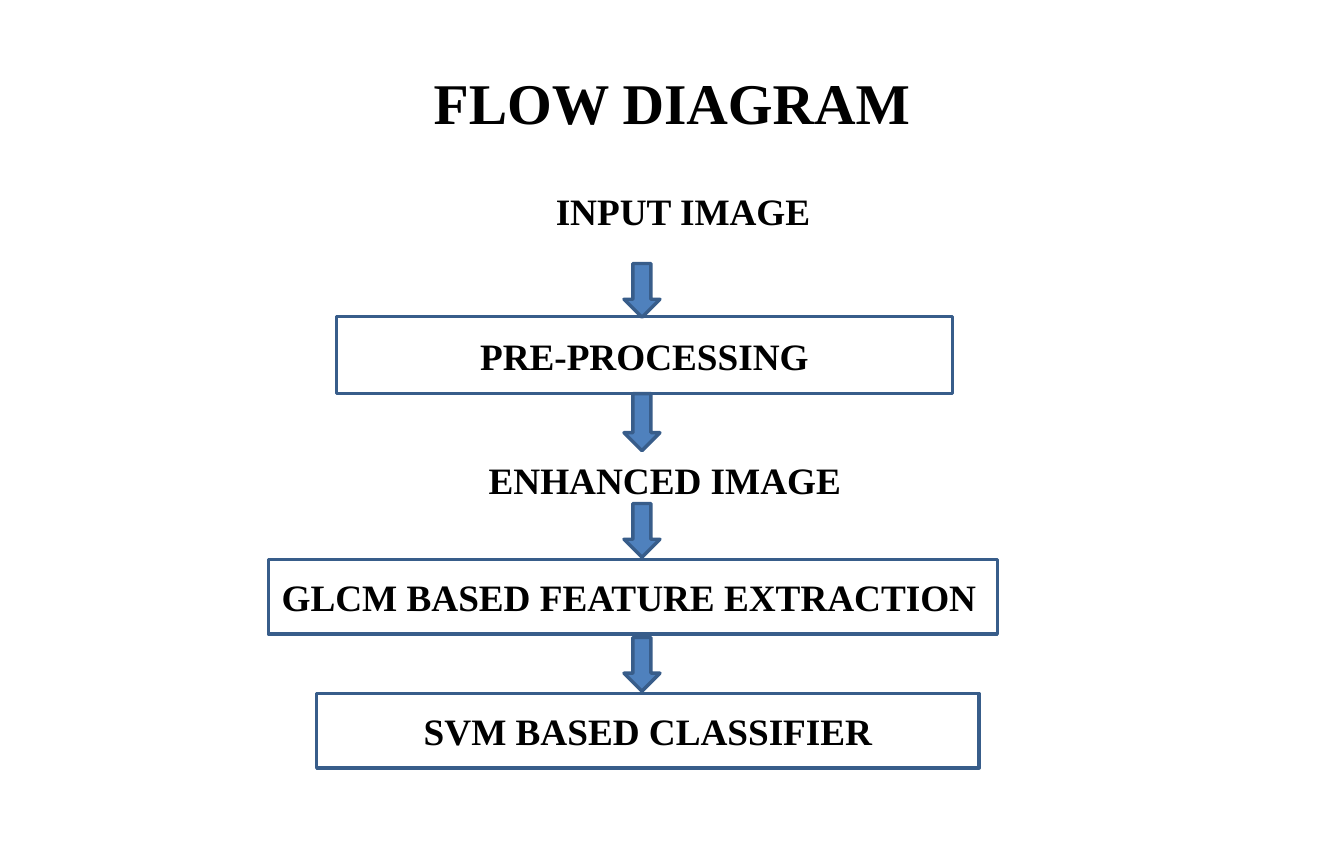
from pptx import Presentation
from pptx.dml.color import RGBColor
from pptx.enum.shapes import MSO_SHAPE as Shape
from pptx.enum.text import MSO_ANCHOR as Anchor, MSO_AUTO_SIZE as AutoSize, PP_ALIGN as Align
from pptx.util import Cm, Pt

BLACK = RGBColor(0x00, 0x00, 0x00)
WHITE = RGBColor(0xFF, 0xFF, 0xFF)
BLUE = RGBColor(0x4F, 0x81, 0xBD)
DARK_BLUE = RGBColor(0x38, 0x5D, 0x8A)


class FlowSlide:
    """Holds the style and the current slide; lengths are in centimetres."""

    font_name = "Times New Roman"
    title_size = 34
    step_size = 22
    line_width = 2
    inset_x, inset_y = 0.28, 0.13

    def __init__(self, presentation):
        self.slide = presentation.slides.add_slide(presentation.slide_layouts[5])

    def add_text(self, shape, text, size, align=Align.CENTER, anchor=Anchor.MIDDLE,
                 inset_left=inset_x, inset_top=inset_y):
        frame = shape.text_frame
        frame.word_wrap = True
        frame.auto_size = AutoSize.NONE
        frame.vertical_anchor = anchor
        frame.margin_left, frame.margin_right = Cm(inset_left), Cm(self.inset_x)
        frame.margin_top, frame.margin_bottom = Cm(inset_top), Cm(self.inset_y)
        paragraph = frame.paragraphs[0]
        paragraph.alignment = align
        run = paragraph.add_run()
        run.text = text
        run.font.name = self.font_name
        run.font.size = Pt(size)
        run.font.bold = True
        run.font.color.rgb = BLACK

    def title(self, text, left, top, width, height):
        title = self.slide.shapes.title
        title.left, title.top = Cm(left), Cm(top)
        title.width, title.height = Cm(width), Cm(height)
        self.add_text(title, text, self.title_size)

    def label(self, text, left, top, width, height, **layout):
        box = self.slide.shapes.add_textbox(Cm(left), Cm(top), Cm(width), Cm(height))
        self.add_text(box, text, self.step_size, anchor=Anchor.TOP, **layout)

    def outlined(self, kind, fill, left, top, width, height):
        shape = self.slide.shapes.add_shape(
            kind, Cm(left), Cm(top), Cm(width), Cm(height))
        shape.shadow.inherit = False
        shape.fill.solid()
        shape.fill.fore_color.rgb = fill
        shape.line.color.rgb = DARK_BLUE
        shape.line.width = Pt(self.line_width)
        return shape

    def step(self, text, left, top, width, height, align=Align.CENTER):
        box = self.outlined(Shape.RECTANGLE, WHITE, left, top, width, height)
        self.add_text(box, text, self.step_size, align)

    def down_arrow(self, top, height):
        self.outlined(Shape.DOWN_ARROW, BLUE, 13, top, 0.75, height)


def main():
    presentation = Presentation()
    presentation.slide_width, presentation.slide_height = Cm(28), Cm(18)
    flow = FlowSlide(presentation)

    # Title and input
    flow.title("FLOW DIAGRAM", 1.4, 1.04, 25.2, 2.16)
    flow.label("INPUT IMAGE", 0.46, 2.6, 27.54, 14.65, inset_top=1.33)

    # Processing steps
    flow.step("PRE-PROCESSING", 7.01, 6.6, 12.83, 1.6)
    flow.step("GLCM BASED FEATURE EXTRACTION", 5.59, 11.66, 15.19, 1.55, Align.LEFT)
    flow.step("SVM BASED CLASSIFIER", 6.6, 14.45, 13.8, 1.55)

    # Arrows between the steps
    for top, height in [(5.49, 1.12), (8.2, 1.19), (10.49, 1.12), (13.28, 1.12)]:
        flow.down_arrow(top, height)

    # Intermediate result
    flow.label("ENHANCED IMAGE", 7.14, 9.4, 12.83, 1.22,
               align=Align.LEFT, inset_left=3.04)

    presentation.save("out.pptx")


if __name__ == "__main__":
    main()
